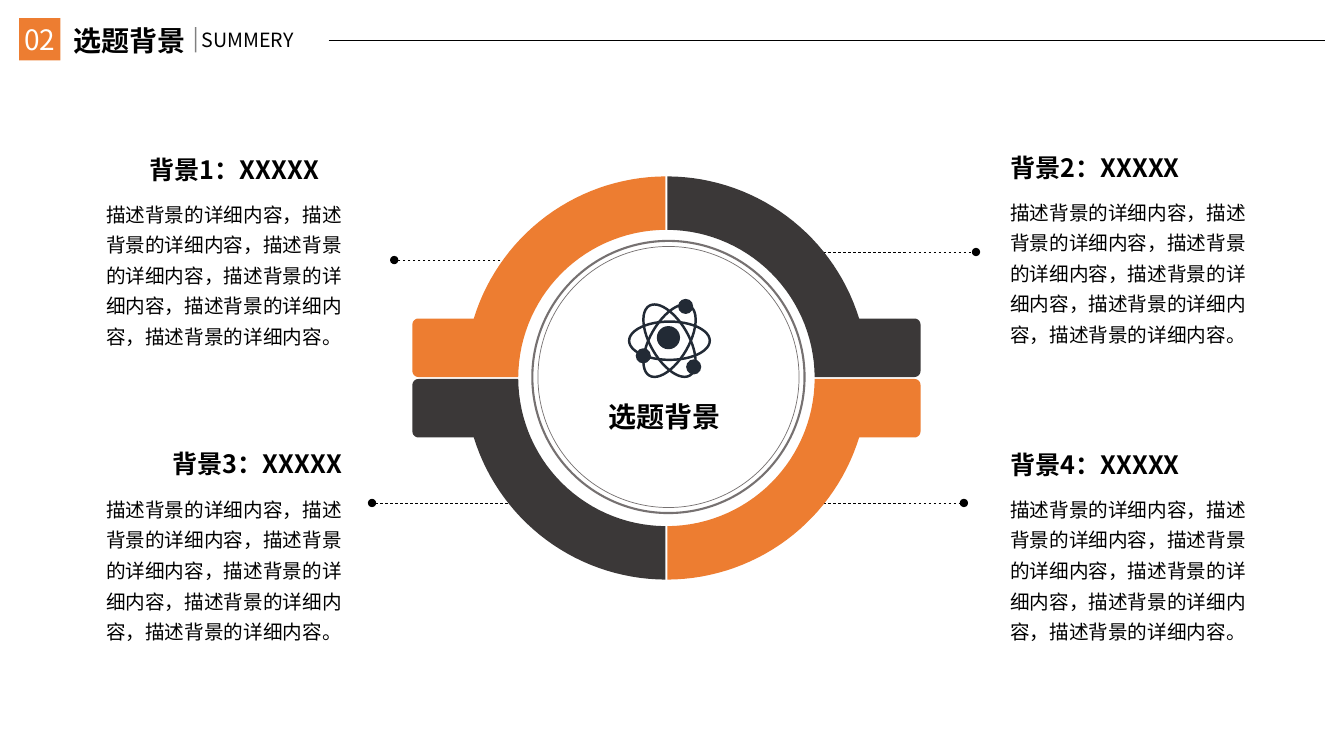
from math import acos, asin, cos, pi, sin

from lxml import etree
from pptx import Presentation
from pptx.dml.color import RGBColor
from pptx.enum.dml import MSO_LINE
from pptx.enum.shapes import MSO_CONNECTOR, MSO_SHAPE
from pptx.enum.text import MSO_ANCHOR, MSO_AUTO_SIZE, PP_ALIGN
from pptx.oxml.ns import qn
from pptx.util import Inches, Pt

LEFT, CENTER, RIGHT = PP_ALIGN.LEFT, PP_ALIGN.CENTER, PP_ALIGN.RIGHT
TOP, MIDDLE = MSO_ANCHOR.TOP, MSO_ANCHOR.MIDDLE
OVAL, RECTANGLE = MSO_SHAPE.OVAL, MSO_SHAPE.RECTANGLE
STRAIGHT, DASH = MSO_CONNECTOR.STRAIGHT, MSO_LINE.DASH
GROW = MSO_AUTO_SIZE.SHAPE_TO_FIT_TEXT

# Content
FONT = "Noto Sans CJK SC"
COLORS = {"orange": "ED7D31", "dark": "3B3838", "black": "000000",
          "white": "FFFFFF", "ring": "767171", "atom": "222A35"}
TITLE, SUBTITLE, NUMBER = "选题背景", "SUMMERY", "02"
DETAIL = "，".join(["描述背景的详细内容"] * 6) + "。"
# heading, heading left and top, detail left and top, alignment
BACKGROUNDS = [
    ("背景1：XXXXX", (0.77, 1.48), (0.77, 1.89), RIGHT),
    ("背景2：XXXXX", (9.92, 1.46), (9.92, 1.87), LEFT),
    ("背景3：XXXXX", (1.00, 4.40), (0.77, 4.82), RIGHT),
    ("背景4：XXXXX", (9.92, 4.41), (9.92, 4.82), LEFT),
]
# start x under the wheel, end x at the dot, y
LEADERS = [(7.87, 9.68, 2.50), (7.87, 9.56, 4.99),
           (5.46, 3.91, 2.58), (5.53, 3.69, 4.99)]
# horizontal side, vertical side, color
QUARTERS = [(1, 1, "orange"), (-1, -1, "orange"), (1, -1, "dark"), (-1, 1, "dark")]

# Wheel geometry
WHEEL_X, WHEEL_Y = 6.61, 3.75
OUTER, INNER, GAP = 2.0, 1.47, 0.01
TAB_REACH, TAB_HEIGHT, TAB_CORNER = 2.52, 0.59, 0.06
RINGS = [(2.70, 1.5), (2.59, 0.5)]  # diameter, line width
RING_X, RING_Y = 6.63, 3.74

# Atom geometry
ATOM_X, ATOM_Y = 6.64, 3.38
ORBIT_WIDTH, ORBIT_HEIGHT = 0.80, 0.38
PARTICLES = [(6.63, 3.35, 0.23), (6.80, 3.04, 0.15),
             (6.38, 3.53, 0.15), (6.88, 3.64, 0.15)]  # center x, y, diameter

prs = Presentation()
prs.slide_width, prs.slide_height = Inches(13.33), Inches(7.5)
slide = prs.slides.add_slide(prs.slide_layouts[6])
shapes = slide.shapes


def rgb(color):
    return RGBColor.from_string(COLORS[color])


def write(frame, text, size, color="black", bold=False, align=LEFT, spacing=None):
    paragraph = frame.paragraphs[0]
    paragraph.alignment = align
    if spacing:
        paragraph.line_spacing = spacing
    run = paragraph.add_run()
    run.text = text
    font = run.font
    font.name, font.size, font.bold = FONT, Pt(size), bold
    font.color.rgb = rgb(color)
    east_asian = etree.SubElement(font._element, qn("a:ea"))
    east_asian.set("typeface", FONT)


def add_text(left, top, width, height, text, size, anchor=TOP, wrap=True, **style):
    box = shapes.add_textbox(Inches(left), Inches(top), Inches(width), Inches(height))
    frame = box.text_frame
    frame.word_wrap, frame.auto_size, frame.vertical_anchor = wrap, GROW, anchor
    write(frame, text, size, **style)


def fill_plain(shape, color):
    shape.shadow.inherit = False
    shape.fill.solid()
    shape.fill.fore_color.rgb = rgb(color)
    shape.line.fill.background()


def add_oval(x, y, width, height):
    return shapes.add_shape(OVAL, Inches(x - width / 2), Inches(y - height / 2),
                            Inches(width), Inches(height))


def add_outline(x, y, width, height, color, weight):
    outline = add_oval(x, y, width, height)
    outline.shadow.inherit = False
    outline.fill.background()
    outline.line.color.rgb = rgb(color)
    outline.line.width = Pt(weight)
    return outline


def add_line(x1, y1, x2, y2, weight):
    line = shapes.add_connector(STRAIGHT, Inches(x1), Inches(y1), Inches(x2), Inches(y2))
    line.line.color.rgb = rgb("black")
    line.line.width = Pt(weight)
    etree.SubElement(line._element.spPr, qn("a:effectLst"))
    return line


def arc(x, y, radius, start, end, steps=30):
    angles = [start + (end - start) * i / steps for i in range(steps + 1)]
    return [(x + radius * cos(a), y + radius * sin(a)) for a in angles]


def quarter_points():
    """Lower right quarter with its tab, measured from the wheel center."""
    corner = TAB_REACH - TAB_CORNER
    return (
        arc(0, 0, INNER, acos(GAP / INNER), asin(GAP / INNER))
        + arc(corner, GAP + TAB_CORNER, TAB_CORNER, -pi / 2, 0, 6)
        + arc(corner, TAB_HEIGHT - TAB_CORNER, TAB_CORNER, 0, pi / 2, 6)
        + arc(0, 0, OUTER, asin(TAB_HEIGHT / OUTER), acos(GAP / OUTER))
    )


# Header
add_text(0.63, 0.18, 1.38, 0.44, TITLE, 20, anchor=MIDDLE, bold=True)
add_text(1.90, 0.23, 1.20, 0.34, SUBTITLE, 14, wrap=False)
badge = shapes.add_shape(RECTANGLE, Inches(0.19), Inches(0.18), Inches(0.41), Inches(0.42))
fill_plain(badge, "orange")
badge_frame = badge.text_frame
badge_frame.margin_left = badge_frame.margin_right = 0
badge_frame.margin_top = badge_frame.margin_bottom = 0
badge_frame.word_wrap, badge_frame.vertical_anchor = False, MIDDLE
write(badge_frame, NUMBER, 20, color="white", align=CENTER)
add_line(3.26, 0.40, 13.14, 0.40, 0.5)
divider = add_line(1.94, 0.27, 1.94, 0.52, 1)
divider_color = divider.line._ln.find(".//" + qn("a:srgbClr"))
etree.SubElement(divider_color, qn("a:alpha")).set("val", "49000")

# Dashed leaders, partly under the wheel
for start, end, y in LEADERS:
    leader = add_line(start, y, end, y, 0.5)
    leader.line.dash_style = DASH
    etree.SubElement(leader.line._ln, qn("a:tailEnd")).set("type", "oval")

# Wheel quarters
for side_x, side_y, color in QUARTERS:
    points = [(Inches(WHEEL_X + side_x * x), Inches(WHEEL_Y + side_y * y))
              for x, y in quarter_points()]
    outline = shapes.build_freeform(*points[0])
    outline.add_line_segments(points[1:], close=True)
    fill_plain(outline.convert_to_shape(), color)

# Wheel center
add_text(5.94, 3.91, 1.38, 0.44, TITLE, 20, anchor=MIDDLE, bold=True)
for angle in (0, 60, 120):
    orbit = add_outline(ATOM_X, ATOM_Y, ORBIT_WIDTH, ORBIT_HEIGHT, "atom", 1.75)
    orbit.rotation = angle
for x, y, diameter in PARTICLES:
    fill_plain(add_oval(x, y, diameter, diameter), "atom")
for diameter, weight in RINGS:
    add_outline(RING_X, RING_Y, diameter, diameter, "ring", weight)

# Background texts
for heading, heading_at, detail_at, align in BACKGROUNDS:
    add_text(*heading_at, 2.49, 0.40, heading, 18, bold=True, align=align)
    add_text(*detail_at, 2.72, 1.60, DETAIL, 14, align=align, spacing=1.3)

prs.save("out.pptx")
